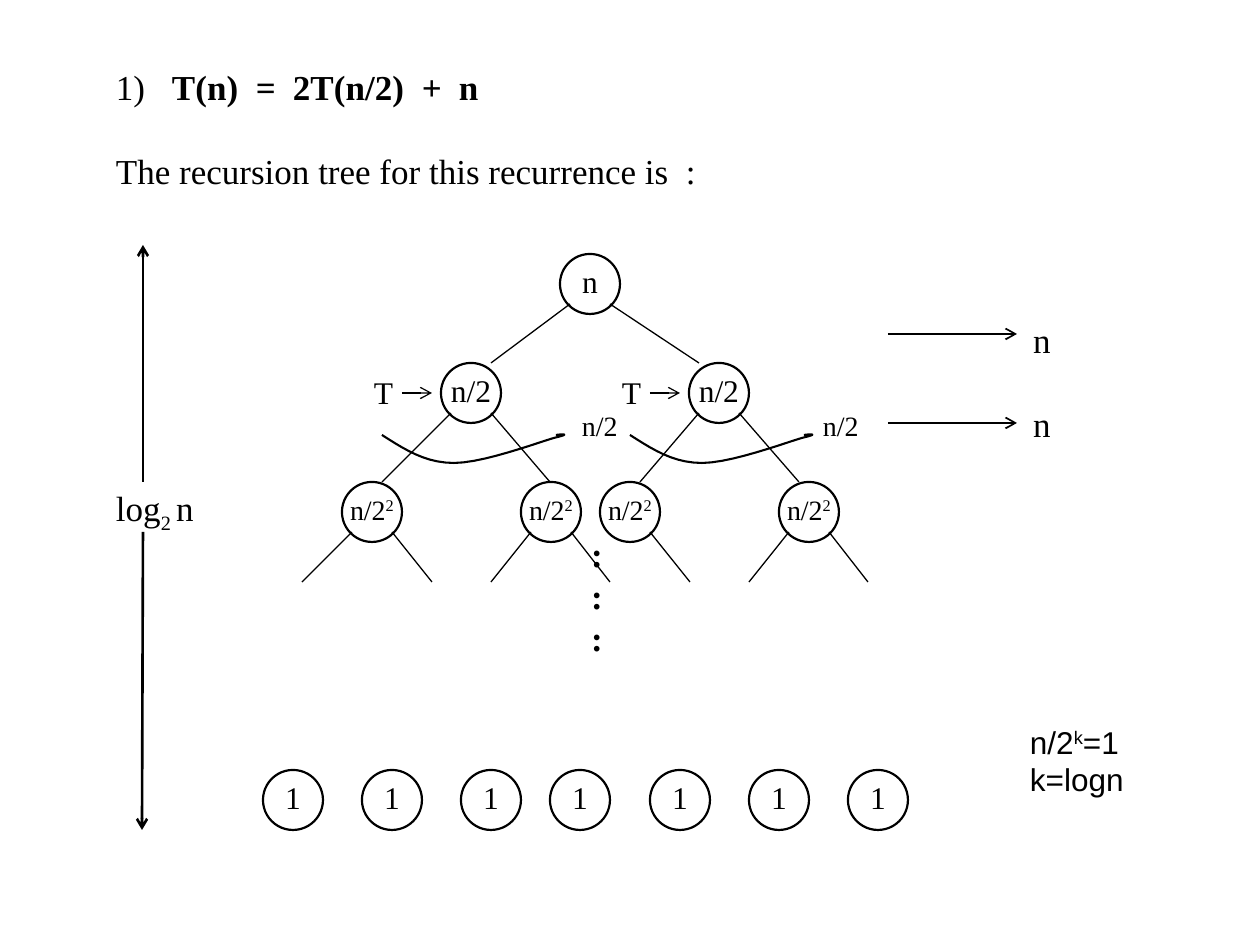
from dataclasses import dataclass

from lxml import etree
from pptx import Presentation
from pptx import util as u
from pptx.dml.color import RGBColor
from pptx.enum import shapes, text
from pptx.oxml.ns import qn


@dataclass(frozen=True)
class Theme:
    ink: RGBColor = RGBColor(0, 0, 0)
    serif: str = "Times New Roman"
    sans: str = "Arial"
    body: int = 20
    node: int = 18
    small: int = 16
    thin: float = 0.75
    arrow: float = 1
    curve: float = 1.2
    ring: float = 1.25
    bold: float = 1.5


T = Theme()
PX = 7257  # EMU in one px, at 126 px to the inch
R = 30     # node radius
REACH = 20  # offset from a node's centre to where its edges start

# Runs are (text, format values)
SQUARED = [("n/2", {}), ("2", {"baseline": 30000})]

# Nodes: centre x, centre y, runs, size, ends of the edges below
NODES = [
    (590, 284, [("n", {})], T.node, [(491, 363), (699, 363)]),
    (471, 393, [("n/2", {})], T.node, [(382, 482), (550, 482)]),
    (719, 393, [("n/2", {})], T.node, [(640, 482), (799, 482)]),
    (372, 512, SQUARED, T.small, [(302, 582), (432, 582)]),
    (551, 512, SQUARED, T.small, [(491, 582), (610, 582)]),
    (630, 512, SQUARED, T.small, [None, (690, 582)]),
    (809, 512, SQUARED, T.small, [(749, 582), (868, 582)]),
]
NODES += [(x, 800, [("1", {})], T.node, [])
          for x in (293, 392, 491, 580, 680, 779, 878)]

# Labels: left x, baseline y, paragraphs, size, font, tab stops
LABELS = [
    (116, 97, [[("1)", {}), ("\tT(n)\t=\t2T(n/2)\t+\tn", {"b": 1})]],
     T.body, T.serif, [56, 140, 177, 306, 343]),
    (116, 181, [[("The recursion tree for this recurrence is\t:", {})]],
     T.body, T.serif, [570]),
    (116, 518, [[("log", {}), ("2 ", {"baseline": -25000}), ("n", {})]],
     T.body, T.serif, []),
    (1030, 751, [SQUARED[:1] + [("k", {"baseline": 30000}), ("=1", {})],
                 [("k=logn", {})]], T.node, T.sans, []),
]
LABELS += [(x, y, [[(words, {})]], size, T.serif, [])
           for x, y, words, size in [
               (1033, 350, "n", T.body), (1033, 434, "n", T.body),
               (582, 434, "n/2", T.small), (823, 434, "n/2", T.small),
               (374, 401, "T", T.node), (622, 401, "T", T.node)]]
LABELS += [(591, 564 + 42 * i, [[(":", {"b": 1})]], T.body, T.serif, [])
           for i in range(3)]

# Arrows: start, end, width
ARROWS = [
    ((402, 393), (432, 393), T.thin),
    ((650, 393), (680, 393), T.thin),
    ((888, 334), (1017, 334), T.arrow),
    ((888, 423), (1017, 423), T.arrow),
    ((143, 482), (143, 245), T.bold),
    ((143, 532), (142, 830), T.bold),
]

# Bezier pieces of the sweep under a second-level node
SWEEP_STARTS = [(382, 435), (630, 435)]
SWEEP = [
    [(0, 0), (22, 14), (43, 28), (72, 28)],
    [(72, 28), (101, 28), (155, 8), (172, 3)],
    [(172, 3), (189, -1), (182, -1), (174, 0)],
]


def px(*values):
    return [round(v * PX) for v in values]


def set_line(s, width):
    s.line.color.rgb = T.ink
    s.line.width = u.Pt(width)


def add_line(start, end, width, arrow=False):
    s = slide.shapes.add_connector(
        shapes.MSO_CONNECTOR.STRAIGHT, *px(*start, *end))
    set_line(s, width)
    if arrow:
        etree.SubElement(s.line._get_or_add_ln(), qn("a:tailEnd"), type="arrow")
    etree.SubElement(s._element.spPr, qn("a:effectLst"))


def fill_paragraph(p, runs, size, font):
    for words, formats in runs:
        r = p.add_run()
        r.text = words
        values = {"size": u.Pt(size), "name": font}
        for name, value in values.items():
            setattr(r.font, name, value)
        r.font.color.rgb = T.ink
        for name, value in formats.items():
            r._r.get_or_add_rPr().set(name, str(value))


def set_frame(tf, wrap, anchor, bottom=0):
    values = {"margin_left": 0, "margin_right": 0, "margin_top": 0,
              "margin_bottom": px(bottom)[0], "word_wrap": wrap,
              "vertical_anchor": anchor}
    for name, value in values.items():
        setattr(tf, name, value)


def add_label(x, baseline, paragraphs, size, font, tabs):
    em = size * 1.75  # type size in px
    width = 640 if tabs else 120
    s = slide.shapes.add_textbox(
        *px(x, baseline - 0.9 * em, width, 1.2 * em * len(paragraphs)))
    tf = s.text_frame
    set_frame(tf, True, text.MSO_ANCHOR.TOP)
    for i, runs in enumerate(paragraphs):
        p = tf.add_paragraph() if i else tf.paragraphs[0]
        if tabs:
            stops = etree.SubElement(p._p.get_or_add_pPr(), qn("a:tabLst"))
            for stop in tabs:
                etree.SubElement(stops, qn("a:tab"),
                                 pos=str(px(stop)[0]), algn="l")
        fill_paragraph(p, runs, size, font)


def add_node(cx, cy, runs, size):
    s = slide.shapes.add_shape(
        shapes.MSO_SHAPE.OVAL, *px(cx - R, cy - R, 2 * R, 2 * R))
    s.shadow.inherit = False
    s.fill.background()
    set_line(s, T.ring)
    set_frame(s.text_frame, False, text.MSO_ANCHOR.MIDDLE, bottom=6)
    p = s.text_frame.paragraphs[0]
    p.alignment = text.PP_ALIGN.CENTER
    fill_paragraph(p, runs, size, T.serif)


def bezier(points, t):
    weights = ((1 - t) ** 3, 3 * t * (1 - t) ** 2, 3 * t * t * (1 - t), t ** 3)
    return [sum(w * pt[axis] for w, pt in zip(weights, points))
            for axis in (0, 1)]


def add_sweep(x, y, steps=10):
    points = [bezier(piece, i / steps)
              for piece in SWEEP for i in range(1, steps + 1)]
    builder = slide.shapes.build_freeform(*px(x, y))
    builder.add_line_segments(
        [px(x + dx, y + dy) for dx, dy in points], close=False)
    s = builder.convert_to_shape()
    s.shadow.inherit = False
    s.fill.background()
    set_line(s, T.curve)


prs = Presentation()
prs.slide_width, prs.slide_height = u.Inches(10), u.Inches(7.5)
slide = prs.slides.add_slide(prs.slide_layouts[6])

for cx, cy, runs, size, ends in NODES:
    add_node(cx, cy, runs, size)
    for side, end in zip((-1, 1), ends):
        if end:
            add_line((cx + side * REACH, cy + REACH), end, T.thin)
for start in SWEEP_STARTS:
    add_sweep(*start)
for start, end, width in ARROWS:
    add_line(start, end, width, arrow=True)
for label in LABELS:
    add_label(*label)

prs.save("out.pptx")
